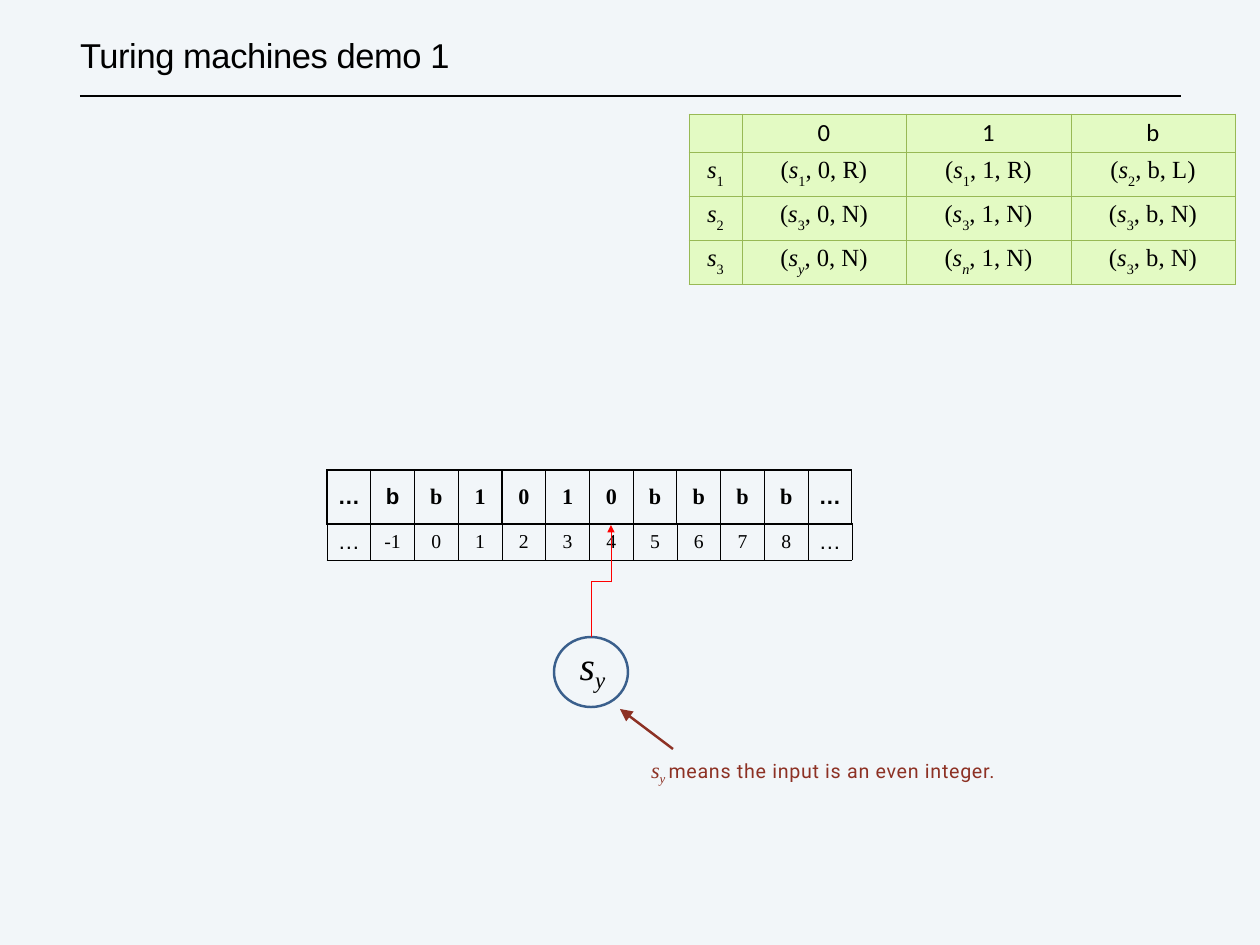
from lxml.etree import SubElement
from pptx import Presentation
from pptx.dml.color import RGBColor
from pptx.enum.shapes import MSO_CONNECTOR, MSO_SHAPE
from pptx.enum.text import MSO_ANCHOR, MSO_AUTO_SIZE, PP_ALIGN
from pptx.oxml.ns import qn
from pptx.util import Pt

PX = 10320  # EMU per pixel
SERIF = "Times New Roman"
BLACK, RED, BROWN = "000000", "FF0000", "8D3124"
RULE_GREEN, CELL_GREEN = "98B955", "E3FAC3"
PAPER, STATE_BLUE = "F2F6F9", "3A5F8C"


def px(*lengths):
    return [round(length * PX) for length in lengths]


def color(hex_string):
    return RGBColor.from_string(hex_string)


# Text
def add_run(paragraph, text, size, font=SERIF, ink=BLACK, bold=False,
            italic=False, base=0, spacing=0):
    run = paragraph.add_run()
    run.text = text
    run.font.size = Pt(size)
    run.font.name = font
    run.font.color.rgb = color(ink)
    run.font.bold = bold
    run.font.italic = italic
    properties = run.font._element
    if base:
        properties.set("baseline", str(base * 1000))
    if spacing:
        properties.set("spc", str(round(spacing * 100)))


def add_state(paragraph, subscript, size, base=-30, ink=BLACK):
    add_run(paragraph, "s", size, ink=ink, italic=True)
    add_run(paragraph, subscript, size, ink=ink,
            italic=subscript[0].isalpha(), base=base)


def add_label(slide, box, wrap):
    frame = slide.shapes.add_textbox(*px(*box)).text_frame
    frame.word_wrap = wrap
    return frame


# Lines and arrows
def add_line(slide, start, end, ink, width, head=None,
             kind=MSO_CONNECTOR.STRAIGHT):
    line = slide.shapes.add_connector(kind, *px(*start, *end))
    line.line.color.rgb = color(ink)
    line.line.width = Pt(width)
    if head:
        SubElement(line.line._get_or_add_ln(), qn("a:tailEnd"),
                   type="triangle", w=head, len=head)
    SubElement(line._element.spPr, qn("a:effectLst"))
    return line


def add_elbow(slide, start, end, ink, width):
    """Bent line turned a quarter, so that it leaves and arrives vertically."""
    (x1, y1), (x2, y2) = start, end
    middle_x, middle_y = (x1 + x2) / 2, (y1 + y2) / 2
    half_run, half_rise = abs(y2 - y1) / 2, abs(x2 - x1) / 2
    elbow = add_line(slide, (middle_x - half_run, middle_y - half_rise),
                     (middle_x + half_run, middle_y + half_rise),
                     ink, width, kind=MSO_CONNECTOR.ELBOW)
    properties = elbow._element.spPr
    properties.find(qn("a:xfrm")).set("rot", "5400000")
    SubElement(properties.find(qn("a:prstGeom")).find(qn("a:avLst")),
               qn("a:gd"), name="adj1", fmla="val -1800")


# Tables
def add_grid(slide, box, columns, rows):
    table = slide.shapes.add_table(len(rows), len(columns), *px(*box)).table
    table.first_row = table.horz_banding = False
    for column, width in zip(table.columns, columns):
        column.width = px(width)[0]
    for row, height in zip(table.rows, rows):
        row.height = px(height)[0]
    return table


def format_cell(cell, ink, width, fill=None, anchor=MSO_ANCHOR.MIDDLE):
    for side in ("lnL", "lnR", "lnT", "lnB"):
        border = SubElement(cell._tc.get_or_add_tcPr(), qn(f"a:{side}"),
                            w=str(Pt(width)))
        SubElement(SubElement(border, qn("a:solidFill")),
                   qn("a:srgbClr"), val=ink)
    if fill:
        cell.fill.solid()
        cell.fill.fore_color.rgb = color(fill)
    else:
        cell.fill.background()
    cell.vertical_anchor = anchor
    paragraph = cell.text_frame.paragraphs[0]
    paragraph.alignment = PP_ALIGN.CENTER
    return paragraph


def build_heading(slide, box):
    left, top, width, height = box
    title = slide.shapes.title
    title.left, title.top, title.width, title.height = px(
        left - 1, top, 646, 43)
    frame = title.text_frame
    frame.auto_size = MSO_AUTO_SIZE.NONE
    frame.vertical_anchor = MSO_ANCHOR.TOP
    frame.margin_left = frame.margin_right = px(1)[0]
    frame.margin_top = frame.margin_bottom = 0
    heading = frame.paragraphs[0]
    heading.alignment = PP_ALIGN.LEFT
    heading.space_before = Pt(1)
    add_run(heading, "Turing machines demo 1", 28, "Arial", spacing=-0.3)
    add_line(slide, (left, top + height), (left + width, top + height),
             BLACK, 1)


def build_transitions(slide, box):
    symbols = ["0", "1", "b"]
    moves = {
        "1": [("1", "R"), ("1", "R"), ("2", "L")],
        "2": [("3", "N"), ("3", "N"), ("3", "N")],
        "3": [("y", "N"), ("n", "N"), ("3", "N")],
    }
    table = add_grid(slide, box, [53, 164, 165, 164], [38, 44, 44, 43])
    format_cell(table.cell(0, 0), RULE_GREEN, 0.75, CELL_GREEN)
    for column, symbol in enumerate(symbols, 1):
        header = format_cell(table.cell(0, column), RULE_GREEN, 0.75,
                             CELL_GREEN)
        add_run(header, symbol, 20, "Calibri")
    for row, (state, steps) in enumerate(moves.items(), 1):
        entries = [format_cell(cell, RULE_GREEN, 0.75, CELL_GREEN,
                               MSO_ANCHOR.TOP)
                   for cell in table.rows[row].cells]
        add_state(entries[0], state, 20)
        for entry, symbol, (target, move) in zip(entries[1:], symbols, steps):
            add_run(entry, "(", 20)
            add_state(entry, target, 20)
            add_run(entry, f", {symbol}, {move})", 20)


def build_tape(slide, box):
    symbols = ["…", *"bb1010bbbb", "…"]
    positions = ["…", *map(str, range(-1, 9)), "…"]
    count = len(symbols)
    table = add_grid(slide, box, [box[2] / count] * count, [54, 36])
    for row, (texts, bold, border) in enumerate(
            [(symbols, True, 1), (positions, False, 0.75)]):
        for column, text in enumerate(texts):
            cell = table.cell(row, column)
            cell.margin_left = cell.margin_right = 0
            cell.margin_top = cell.margin_bottom = 0
            sans = text == "…" or (bold and column == 1)
            add_run(format_cell(cell, BLACK, border), text,
                    18 if bold or sans else 16,
                    "Arial" if sans else SERIF, bold=bold)


def build_head(slide, box, tape_point):
    left, top, width, height = box
    circle = slide.shapes.add_shape(MSO_SHAPE.OVAL, *px(*box))
    circle.shadow.inherit = False
    circle.fill.background()
    circle.line.color.rgb = color(STATE_BLUE)
    circle.line.width = Pt(2)
    bend = (tape_point[0], top - 55)
    add_line(slide, bend, tape_point, RED, 0.75, head="med")
    add_elbow(slide, bend, (left + width / 2, top), RED, 0.75)
    state = add_label(slide, (left + 17, top, 47, 57), False)
    add_state(state.paragraphs[0], "y", 32, base=-20)


def build_callout(slide, box):
    left, top, width, height = box
    add_line(slide, (left + 22, top - 4), (left - 31, top - 44),
             BROWN, 2, head="lg")
    frame = add_label(slide, box, True)
    frame.margin_left = frame.margin_right = frame.margin_bottom = 0
    frame.margin_top = px(3)[0]
    meaning = frame.paragraphs[0]
    meaning.space_before = Pt(2.4)
    add_state(meaning, "y ", 18, base=-25, ink=BROWN)
    add_run(meaning, "means the input is an even integer.", 16, "Roboto",
            BROWN, spacing=0.6)


def main():
    deck = Presentation()
    deck.slide_width, deck.slide_height = px(1260, 945)
    slide = deck.slides.add_slide(deck.slide_layouts[5])
    slide.background.fill.solid()
    slide.background.fill.fore_color.rgb = color(PAPER)
    build_heading(slide, (80, 34, 1101, 62))
    build_tape(slide, (327, 470, 525, 90))
    build_head(slide, (554, 637, 74, 70), (611, 525))
    build_transitions(slide, (689, 114, 546, 169))
    build_callout(slide, (651, 753, 415, 30))
    deck.save("out.pptx")


if __name__ == "__main__":
    main()
